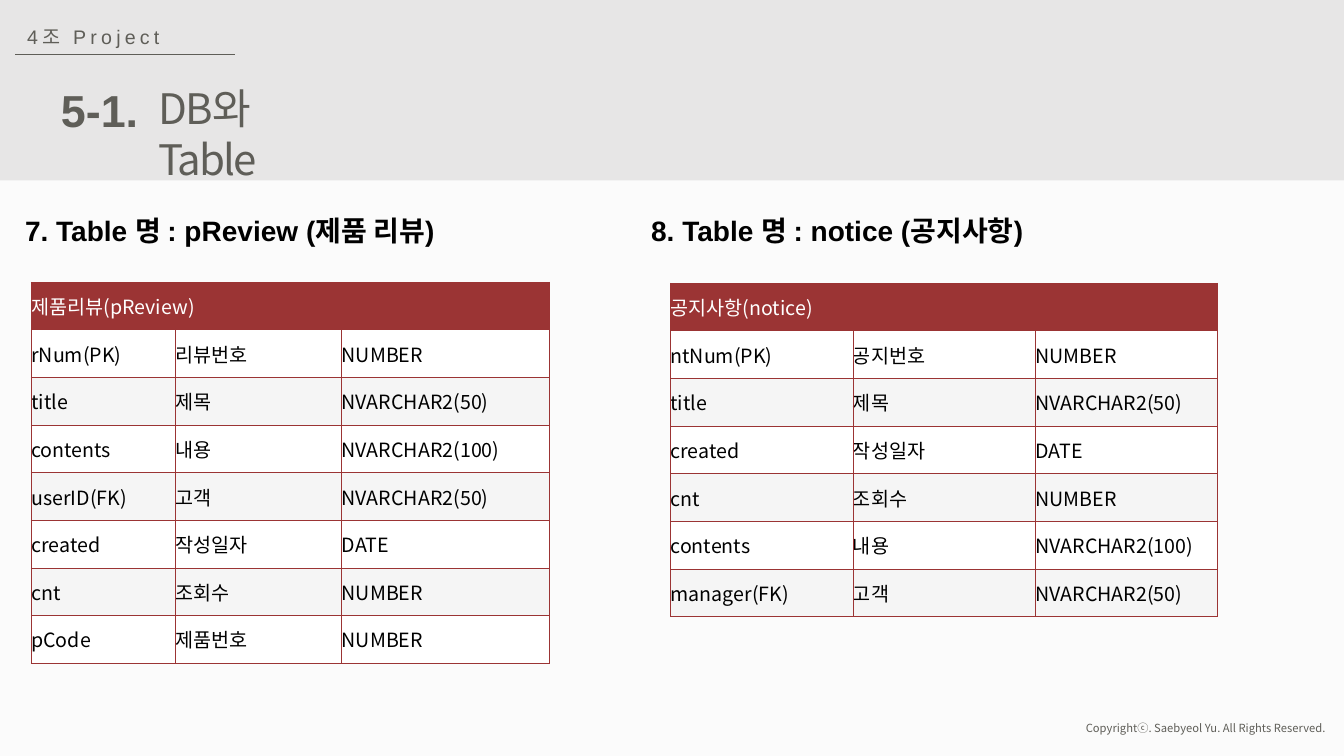
"""Build the slide that describes the pReview and notice database tables."""
from dataclasses import dataclass

from lxml import etree
from pptx import Presentation
from pptx.dml.color import RGBColor
from pptx.enum.shapes import MSO_CONNECTOR, MSO_SHAPE
from pptx.enum.text import MSO_ANCHOR, MSO_AUTO_SIZE, PP_ALIGN
from pptx.oxml.ns import qn
from pptx.util import Inches, Pt

LEFT, RIGHT = PP_ALIGN.LEFT, PP_ALIGN.RIGHT
TOP, MIDDLE = MSO_ANCHOR.TOP, MSO_ANCHOR.MIDDLE
NO_AUTOFIT = MSO_AUTO_SIZE.NONE
RECTANGLE = MSO_SHAPE.RECTANGLE
STRAIGHT = MSO_CONNECTOR.STRAIGHT

LATIN = "Arial"
KOREAN = "Noto Sans CJK KR"
BACKGROUND = RGBColor(0xFB, 0xFB, 0xFB)
BAND = RGBColor(0xE7, 0xE6, 0xE6)
GRAY = RGBColor(0x5F, 0x5E, 0x58)
BLACK = RGBColor(0x00, 0x00, 0x00)
WHITE = RGBColor(0xFF, 0xFF, 0xFF)
STRIPE = RGBColor(0xF5, 0xF5, 0xF5)
RED = RGBColor(0x9B, 0x34, 0x34)
ROW_HEIGHT = 0.4725


@dataclass(frozen=True)
class TextStyle:
    size: float
    font: str
    color: RGBColor
    bold: bool = False
    spacing: float = 0
    align: PP_ALIGN = LEFT


@dataclass(frozen=True)
class Label:
    text: str
    left: float
    top: float
    width: float
    height: float
    style: TextStyle
    wrap: bool = True


@dataclass(frozen=True)
class Schema:
    title: str
    left: float
    top: float
    widths: tuple[float, ...]
    fields: tuple[tuple[str, str, str], ...]


HEADING = TextStyle(20, LATIN, BLACK, bold=True)
HEADER_CELL = TextStyle(14, KOREAN, WHITE)
BODY_CELL = TextStyle(14, KOREAN, BLACK)

TITLE = Label("DB와 Table", 1.47, 0.77, 2.1, 0.61,
              TextStyle(30, KOREAN, GRAY, spacing=-1.5))
LABELS = (
    Label("Copyrightⓒ. Saebyeol Yu. All Rights Reserved.", 10.62, 7.11, 2.63, 0.24,
          TextStyle(8, KOREAN, GRAY, align=RIGHT), wrap=False),
    Label("5-1.", 0.08, 0.77, 1.39, 0.64,
          TextStyle(32, LATIN, GRAY, bold=True, align=RIGHT)),
    Label("4조 Project", 0.17, 0.2, 1.59, 0.34,
          TextStyle(14, LATIN, GRAY, spacing=3)),
    Label("7. Table 명 : pReview (제품 리뷰)", 0.15, 2.07, 4.4, 0.74, HEADING),
    Label("8. Table 명 : notice (공지사항)", 6.36, 2.07, 4.01, 0.44, HEADING),
)
SCHEMAS = (
    Schema("제품리뷰(pReview)", 0.31, 2.8, (1.43, 1.65, 2.06), (
        ("rNum(PK)", "리뷰번호", "NUMBER"),
        ("title", "제목", "NVARCHAR2(50)"),
        ("contents", "내용", "NVARCHAR2(100)"),
        ("userID(FK)", "고객", "NVARCHAR2(50)"),
        ("created", "작성일자", "DATE"),
        ("cnt", "조회수", "NUMBER"),
        ("pCode", "제품번호", "NUMBER"),
    )),
    Schema("공지사항(notice)", 6.65, 2.81, (1.81, 1.81, 1.81), (
        ("ntNum(PK)", "공지번호", "NUMBER"),
        ("title", "제목", "NVARCHAR2(50)"),
        ("created", "작성일자", "DATE"),
        ("cnt", "조회수", "NUMBER"),
        ("contents", "내용", "NVARCHAR2(100)"),
        ("manager(FK)", "고객", "NVARCHAR2(50)"),
    )),
)


def write(frame, text: str, style: TextStyle) -> None:
    frame.text = text
    para = frame.paragraphs[0]
    para.alignment = style.align
    para.font.size = Pt(style.size)
    para.font.name = style.font
    para.font.bold = style.bold
    para.font.color.rgb = style.color
    properties = para._p.pPr.find(qn("a:defRPr"))
    etree.SubElement(properties, qn("a:ea"), typeface=KOREAN)
    if style.spacing:
        properties.set("spc", str(round(style.spacing * 100)))


def fill_label(box, label: Label) -> None:
    box.left, box.top = Inches(label.left), Inches(label.top)
    box.width, box.height = Inches(label.width), Inches(label.height)
    frame = box.text_frame
    frame.auto_size = NO_AUTOFIT
    frame.word_wrap = label.wrap
    frame.vertical_anchor = TOP
    write(frame, label.text, label.style)


def add_label(page, label: Label) -> None:
    fill_label(page.shapes.add_textbox(0, 0, 0, 0), label)


def add_band(page, width: int):
    band = page.shapes.add_shape(RECTANGLE, 0, 0, width, Inches(1.79))
    band.shadow.inherit = False
    band.fill.solid()
    band.fill.fore_color.rgb = BAND
    band.line.fill.background()
    return band


def add_rule(page) -> None:
    rule = page.shapes.add_connector(
        STRAIGHT, Inches(0.15), Inches(0.54), Inches(2.33), Inches(0.54))
    rule.line.color.rgb = GRAY
    rule.line.width = Pt(0.5)
    etree.SubElement(rule.element.spPr, qn("a:effectLst"))


def format_cell(cell, text: str, style: TextStyle, fill: RGBColor) -> None:
    cell.margin_left = cell.margin_right = cell.margin_top = cell.margin_bottom = 0
    cell.vertical_anchor = MIDDLE
    write(cell.text_frame, text, style)
    cell.fill.solid()
    cell.fill.fore_color.rgb = fill
    properties = cell._tc.get_or_add_tcPr()
    for index, side in enumerate(("a:lnL", "a:lnR", "a:lnT", "a:lnB")):
        border = etree.Element(qn(side), w=str(Pt(0.75)))
        paint = etree.SubElement(border, qn("a:solidFill"))
        etree.SubElement(paint, qn("a:srgbClr"), val=str(RED))
        properties.insert(index, border)


def add_schema(page, schema: Schema) -> None:
    rows = ((schema.title, "", ""), *schema.fields)
    table = page.shapes.add_table(
        len(rows), len(schema.widths), Inches(schema.left), Inches(schema.top),
        Inches(sum(schema.widths)), Inches(ROW_HEIGHT * len(rows))).table
    table.first_row = table.horz_banding = False
    for column, width in zip(table.columns, schema.widths):
        column.width = Inches(width)
    for row_index, row in enumerate(rows):
        table.rows[row_index].height = Inches(ROW_HEIGHT)
        style = BODY_CELL if row_index else HEADER_CELL
        fill = (WHITE if row_index % 2 else STRIPE) if row_index else RED
        for column_index, text in enumerate(row):
            format_cell(table.cell(row_index, column_index), text, style, fill)
    table.cell(0, 0).merge(table.cell(0, len(schema.widths) - 1))


def main() -> None:
    deck = Presentation()
    deck.slide_width, deck.slide_height = Inches(13.33), Inches(7.5)
    page = deck.slides.add_slide(deck.slide_layouts[5])
    page.background.fill.solid()
    page.background.fill.fore_color.rgb = BACKGROUND
    band = add_band(page, deck.slide_width)
    title = page.shapes.title
    fill_label(title, TITLE)
    band.element.addnext(title.element)
    for label in LABELS:
        add_label(page, label)
    add_rule(page)
    for schema in SCHEMAS:
        add_schema(page, schema)
    deck.save("out.pptx")


if __name__ == "__main__":
    main()
